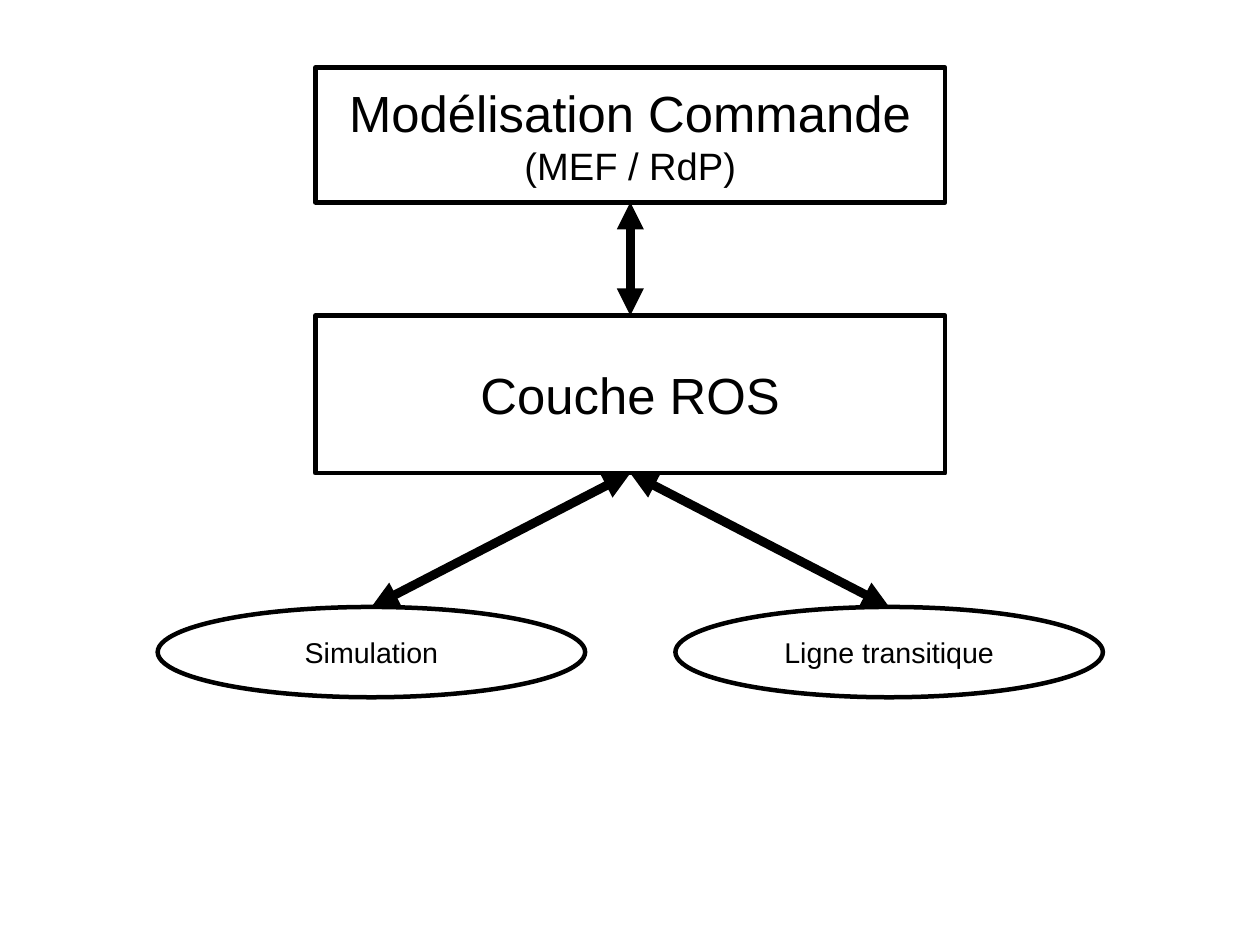
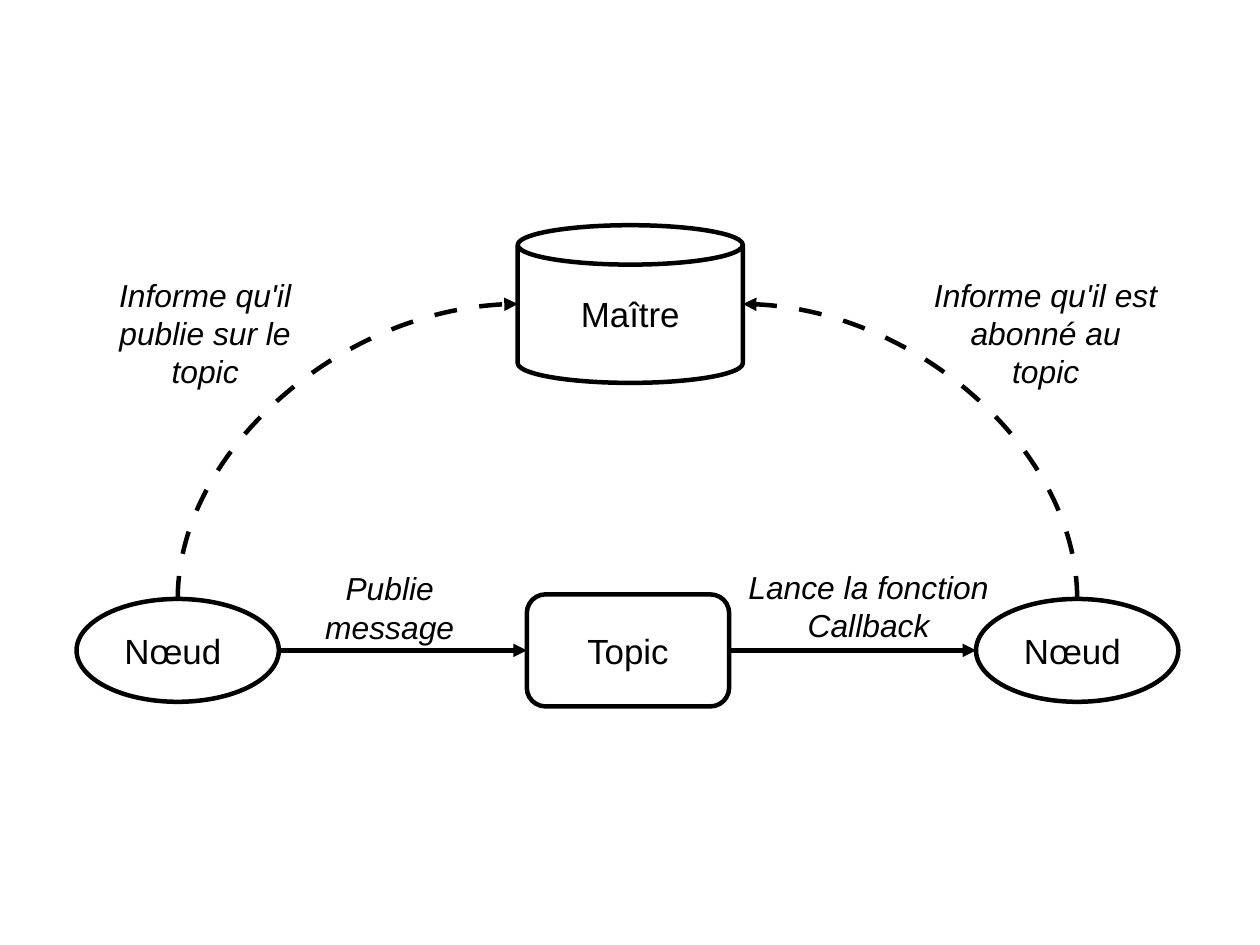
"""Build two diagrams of a ROS control architecture."""
import dataclasses

import pptx
import pptx.dml.color
import pptx.enum.shapes
import pptx.enum.text
import pptx.oxml
import pptx.oxml.ns
import pptx.util

Inches = pptx.util.Inches
Shapes = pptx.enum.shapes.MSO_SHAPE
Connectors = pptx.enum.shapes.MSO_CONNECTOR
TOP, LEFT, BOTTOM, RIGHT = range(4)


@dataclasses.dataclass(frozen=True)
class Theme:
    ink: pptx.dml.color.RGBColor = pptx.dml.color.RGBColor(0, 0, 0)
    font: str = "Arial"
    heading: int = 32
    subheading: int = 24
    node: int = 22
    label: int = 20
    small: int = 18
    outline: float = 2.83
    thick: float = 5.67


THEME = Theme()


def write(frame, *lines, italic=False, insets=(0.12, 0.07), anchor="MIDDLE"):
    frame.word_wrap = True
    frame.margin_left = frame.margin_right = Inches(insets[0])
    frame.margin_top = frame.margin_bottom = Inches(insets[1])
    frame.vertical_anchor = pptx.enum.text.MSO_ANCHOR[anchor]
    for index, (text, size) in enumerate(lines):
        paragraph = frame.add_paragraph() if index else frame.paragraphs[0]
        paragraph.alignment = pptx.enum.text.PP_ALIGN.CENTER
        run = paragraph.add_run()
        run.text = text
        run.font.name = THEME.font
        run.font.size = pptx.util.Pt(size)
        run.font.italic = italic
        run.font.color.rgb = THEME.ink


def append(parent, tag, **attributes):
    element = pptx.oxml.parse_xml(f"<a:{tag} {pptx.oxml.ns.nsdecls('a')}/>")
    for name, value in attributes.items():
        element.set(name, str(value))
    parent.append(element)
    return element


def side_point(shape, side):
    across = {LEFT: 0, RIGHT: 2}.get(side, 1)
    down = {TOP: 0, BOTTOM: 2}.get(side, 1)
    return shape.left + shape.width * across // 2, shape.top + shape.height * down // 2


class Diagram:
    def __init__(self, presentation):
        self.presentation = presentation
        self.slide = None

    def new_slide(self):
        self.slide = self.presentation.slides.add_slide(self.presentation.slide_layouts[6])

    def box(self, kind, left, top, width, height, *lines):
        shape = self.slide.shapes.add_shape(kind, *map(Inches, (left, top, width, height)))
        shape.shadow.inherit = False
        shape.fill.background()
        self.stroke(shape, THEME.outline)
        append(shape.line._get_or_add_ln(), "round")
        write(shape.text_frame, *lines)
        return shape

    def label(self, text, left, top, width, height):
        shape = self.slide.shapes.add_textbox(*map(Inches, (left, top, width, height)))
        write(shape.text_frame, (text, THEME.label), italic=True, insets=(0.1, 0.05), anchor="TOP")
        shape.text_frame.auto_size = pptx.enum.text.MSO_AUTO_SIZE.SHAPE_TO_FIT_TEXT

    def stroke(self, shape, width):
        shape.line.color.rgb = THEME.ink
        shape.line.width = pptx.util.Pt(width)

    def finish(self, connector, width, both=False, dashed=False):
        self.stroke(connector, width)
        line = connector.line._get_or_add_ln()
        if dashed:
            append(append(line, "custDash"), "ds", d=510000, sp=500000)
        append(line, "round")
        if both:
            append(line, "headEnd", type="triangle")
        append(line, "tailEnd", type="triangle")
        append(connector._element.spPr, "effectLst")

    def arrow(self, start, start_side, end, end_side, width=THEME.outline, both=False):
        connector = self.slide.shapes.add_connector(
            Connectors.STRAIGHT, *side_point(start, start_side), *side_point(end, end_side))
        for shape, side, join in ((start, start_side, connector.begin_connect),
                                  (end, end_side, connector.end_connect)):
            if side == TOP or shape.auto_shape_type != Shapes.OVAL:
                join(shape, side)
        self.finish(connector, width, both=both)

    def curve(self, start, end, end_side):
        start_x, start_y = side_point(start, TOP)
        end_x, end_y = side_point(end, end_side)
        middle_x, middle_y = (start_x + end_x) // 2, (start_y + end_y) // 2
        half_width, half_height = abs(end_y - start_y) // 2, abs(end_x - start_x) // 2
        direction = 1 if end_x > start_x else -1
        connector = self.slide.shapes.add_connector(
            Connectors.CURVE,
            middle_x + direction * half_width, middle_y + half_height,
            middle_x - direction * half_width, middle_y - half_height)
        properties = connector._element.spPr
        properties.find(pptx.oxml.ns.qn("a:xfrm")).set("rot", str(direction * 90 % 360 * 60000))
        properties.find(pptx.oxml.ns.qn("a:prstGeom")).set("prst", "curvedConnector2")
        self.finish(connector, THEME.outline, dashed=True)


def layers_slide(diagram):
    diagram.new_slide()
    model = diagram.box(Shapes.RECTANGLE, 2.76, 0.59, 5.51, 1.18,
                        ("Modélisation Commande", THEME.heading),
                        ("(MEF / RdP)", THEME.subheading))
    middleware = diagram.box(Shapes.RECTANGLE, 2.76, 2.76, 5.51, 1.38,
                             ("Couche ROS", THEME.heading))
    for text, left in (("Ligne transitique", 5.91), ("Simulation", 1.38)):
        target = diagram.box(Shapes.OVAL, left, 5.31, 3.74, 0.79, (text, THEME.small))
        diagram.arrow(target, TOP, middleware, BOTTOM, width=THEME.thick, both=True)
    diagram.arrow(middleware, TOP, model, BOTTOM, width=THEME.thick, both=True)


def topic_slide(diagram):
    diagram.new_slide()
    publisher, subscriber = (
        diagram.box(Shapes.OVAL, left, 5.24, 1.77, 0.9, ("Nœud ", THEME.node))
        for left in (0.67, 8.54))
    topic = diagram.box(Shapes.ROUNDED_RECTANGLE, 4.61, 5.2, 1.77, 0.98, ("Topic", THEME.node))
    master = diagram.box(Shapes.CAN, 4.53, 1.97, 1.97, 1.38, ("Maître", THEME.node))
    diagram.curve(publisher, master, LEFT)
    diagram.curve(subscriber, master, RIGHT)
    diagram.arrow(publisher, RIGHT, topic, LEFT)
    diagram.arrow(topic, RIGHT, subscriber, LEFT)
    for text, *place in (
            ("Publie message", 2.72, 4.93, 1.38, 0.72),
            ("Lance la fonction Callback", 6.22, 4.92, 2.76, 1.03),
            ("Informe qu'il publie sur le topic", 0.64, 2.36, 2.31, 1.65),
            ("Informe qu'il est abonné au topic", 8.07, 2.36, 2.16, 1.65)):
        diagram.label(text, *place)


def main():
    presentation = pptx.Presentation()
    presentation.slide_width = pptx.util.Emu(10080625)
    presentation.slide_height = pptx.util.Emu(7559675)
    diagram = Diagram(presentation)
    layers_slide(diagram)
    topic_slide(diagram)
    presentation.save("out.pptx")


if __name__ == "__main__":
    main()
